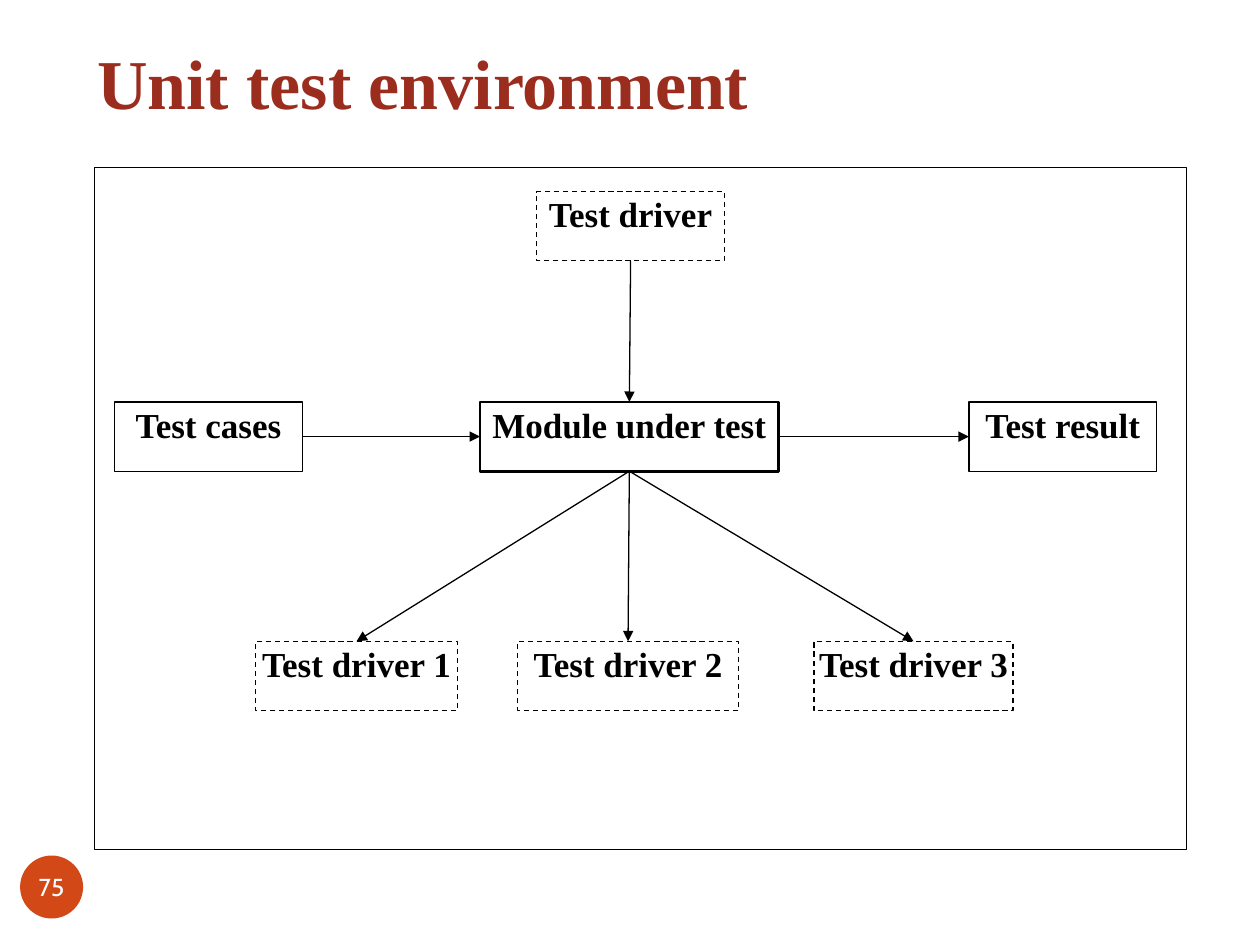
from dataclasses import dataclass
from lxml.etree import SubElement
from pptx import Presentation
from pptx.dml.color import RGBColor
from pptx.enum.dml import MSO_LINE
from pptx.enum.shapes import MSO_CONNECTOR, MSO_SHAPE
from pptx.enum.text import MSO_ANCHOR, PP_ALIGN
from pptx.oxml.ns import qn
from pptx.util import Inches, Pt


@dataclass(frozen=True)
class Theme:
    title: str = "9B2D1F"
    accent: str = "D34817"
    ink: str = "000000"
    paper: str = "FFFFFF"
    serif: str = "Times New Roman"
    sans: str = "Cabin"
    title_size: int = 40
    box_size: int = 20
    number_size: int = 14
    thin: float = 0.75
    thick: float = 1.5


T = Theme()
TITLE = "Unit test environment"
PAGE = "75"
FRAME = (0.75, 1.33, 8.67, 5.41)
ROWS = {"driver": 1.52, "module": 3.19, "stubs": 5.09}
BOX_H = 0.55
INSETS = (0.02, 0.01, 0.02, 0.01)
TOP, LEFT, BOTTOM, RIGHT = range(4)

# label: row, left, width, line width, dashed
BOXES = {
    "Test driver": ("driver", 4.26, 1.49, T.thin, True),
    "Test cases": ("module", 0.91, 1.49, T.thin, False),
    "Module under test": ("module", 3.81, 2.37, T.thick, False),
    "Test result": ("module", 7.69, 1.49, T.thin, False),
    "Test driver 1": ("stubs", 2.03, 1.6, T.thin, True),
    "Test driver 2": ("stubs", 4.11, 1.75, T.thin, True),
    "Test driver 3": ("stubs", 6.46, 1.58, T.thin, True),
}
ARROWS = [
    ("Test driver", BOTTOM, "Module under test", TOP),
    ("Test cases", RIGHT, "Module under test", LEFT),
    ("Module under test", RIGHT, "Test result", LEFT),
    ("Module under test", BOTTOM, "Test driver 1", TOP),
    ("Module under test", BOTTOM, "Test driver 2", TOP),
    ("Module under test", BOTTOM, "Test driver 3", TOP),
]


def rgb(value):
    return RGBColor.from_string(value)


def write(sp, text, font, size, color, bold, align, anchor, insets, wrap=True):
    tf = sp.text_frame
    tf.word_wrap, tf.vertical_anchor = wrap, anchor
    tf.margin_left, tf.margin_top, tf.margin_right, tf.margin_bottom = map(Inches, insets)
    p = tf.paragraphs[0]
    p.text, p.alignment = text, align
    f = p.font
    f.name, f.size, f.bold = font, Pt(size), bold
    f.color.rgb = rgb(color)


def add_shape(s, kind, at, fill=None, line=None, dashed=False):
    sp = s.shapes.add_shape(kind, *map(Inches, at))
    sp.shadow.inherit = False
    if fill:
        sp.fill.solid()
        sp.fill.fore_color.rgb = rgb(fill)
    else:
        sp.fill.background()
    if line:
        sp.line.color.rgb, sp.line.width = rgb(T.ink), Pt(line)
        if dashed:
            sp.line.dash_style = MSO_LINE.DASH
    else:
        sp.line.fill.background()
    return sp


def add_arrow(s, start, start_site, end, end_site):
    c = s.shapes.add_connector(MSO_CONNECTOR.STRAIGHT, 0, 0, 0, 0)
    c.begin_connect(start, start_site)
    c.end_connect(end, end_site)
    c.line.color.rgb, c.line.width = rgb(T.ink), Pt(T.thin)
    SubElement(c.line._get_or_add_ln(), qn("a:tailEnd"), type="triangle")
    SubElement(c._element.spPr, qn("a:effectLst"))


def main():
    prs = Presentation()
    prs.slide_width, prs.slide_height = Inches(10), Inches(7.5)
    s = prs.slides.add_slide(prs.slide_layouts[5])

    title = s.shapes.title
    title.left, title.top, title.width, title.height = map(Inches, (0.67, 0.08, 8.08, 1))
    write(title, TITLE, T.serif, T.title_size, T.title, True,
          PP_ALIGN.LEFT, MSO_ANCHOR.BOTTOM, (0.1, 0.05, 0.1, 0.1))

    badge = add_shape(s, MSO_SHAPE.OVAL, (0.16, 6.79, 0.5, 0.5), T.accent)
    write(badge, PAGE, T.sans, T.number_size, T.paper, False,
          PP_ALIGN.CENTER, MSO_ANCHOR.MIDDLE, (0, 0, 0, 0), wrap=False)

    add_shape(s, MSO_SHAPE.RECTANGLE, FRAME, line=T.thin)
    boxes = {}
    for label, (row, left, width, line, dashed) in BOXES.items():
        at = (left, ROWS[row], width, BOX_H)
        sp = boxes[label] = add_shape(s, MSO_SHAPE.RECTANGLE, at, T.paper, line, dashed)
        write(sp, label, T.serif, T.box_size, T.ink, True,
              PP_ALIGN.CENTER, MSO_ANCHOR.TOP, INSETS)

    for start, start_site, end, end_site in ARROWS:
        add_arrow(s, boxes[start], start_site, boxes[end], end_site)

    prs.save("out.pptx")


if __name__ == "__main__":
    main()
